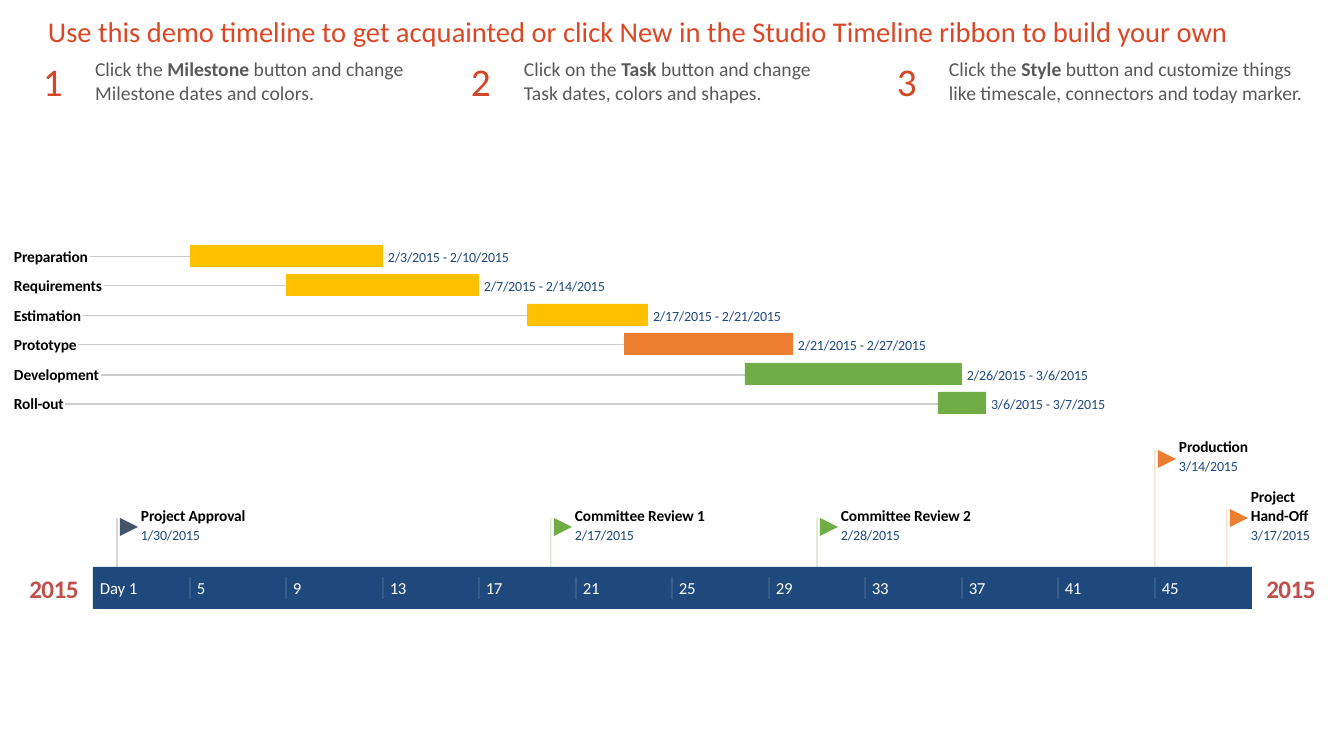
from pptx import Presentation
from pptx.dml.color import RGBColor
from pptx.enum.shapes import MSO_CONNECTOR, MSO_SHAPE
from pptx.enum.text import MSO_ANCHOR, PP_ALIGN
from pptx.oxml.ns import qn
from pptx.util import Pt
from lxml import etree

RECT, FLAG = MSO_SHAPE.RECTANGLE, MSO_SHAPE.FLOWCHART_MERGE
LINE = MSO_CONNECTOR.STRAIGHT
TOP, MID, LOW = MSO_ANCHOR.TOP, MSO_ANCHOR.MIDDLE, MSO_ANCHOR.BOTTOM
LEFT, CENTER = PP_ALIGN.LEFT, PP_ALIGN.CENTER
SCALE = 914400 / 100.8

BLACK, WHITE, GRAY, RULE = "000000", "FFFFFF", "595959", "CCCCCC"
NAVY, INK, SLATE = "1F497D", "1F497E", "44546A"
GOLD, ORANGE, GREEN = "FFC000", "ED7D31", "70AD47"
TITLE, DIGIT, YEAR = "DC4726", "D24726", "C0504D"


def px(n):
    return round(n * SCALE)


def tint(code):
    return RGBColor.from_string(code)


class Board:
    font = "Calibri"

    def __init__(self, slide):
        self.shapes = slide.shapes

    def line(self, x1, y1, x2, y2, color, width=0.75, alpha=100):
        rule = self.shapes.add_connector(LINE, px(x1), px(y1), px(x2), px(y2))
        rule.line.width = Pt(width)
        rule.line.color.rgb = tint(color)
        props = rule._element.spPr
        if alpha < 100:
            fill = props.find(".//" + qn("a:srgbClr"))
            etree.SubElement(fill, qn("a:alpha")).set("val", str(alpha * 1000))
        etree.SubElement(props, qn("a:effectLst"))

    def shape(self, kind, x, y, w, h, color, turn=0):
        item = self.shapes.add_shape(kind, px(x), px(y), px(w), px(h))
        item.shadow.inherit = False
        item.fill.solid()
        item.fill.fore_color.rgb = tint(color)
        item.line.fill.background()
        item.rotation = turn

    def text(self, words, x, y, w, h, size, color, bold=False,
             gap=0, pad=(0, 0), anchor=MID, align=LEFT):
        """Each line is a paragraph; words between asterisks are bold."""
        box = self.shapes.add_textbox(px(x), px(y), px(w), px(h))
        frame = box.text_frame
        frame.word_wrap = True
        frame.vertical_anchor = anchor
        frame.margin_left = frame.margin_right = px(pad[0])
        frame.margin_top = frame.margin_bottom = px(pad[1])
        frame.text = words.replace("*", "")
        for para, row in zip(frame.paragraphs, words.split("\n")):
            para.alignment = align
            parts = row.split("*")
            para.runs[0].text = parts[0]
            for part in parts[1:]:
                para.add_run().text = part
            for i, run in enumerate(para.runs):
                run.font.name = self.font
                run.font.size = Pt(size)
                run.font.bold = bold or i % 2 == 1
                run.font.color.rgb = tint(color)
                if gap:
                    run._r.get_or_add_rPr().set("spc", str(gap))

    def name(self, words, x, y, w, h=19):
        self.text(words, x, y, w, h, 11, BLACK, bold=True, gap=-10)

    def date(self, words, x, y):
        self.text(words, x, y, 136, 17, 10, INK, gap=-10)


deck = Presentation()
deck.slide_width, deck.slide_height = px(1344), px(756)
board = Board(deck.slides.add_slide(deck.slide_layouts[6]))

# Time scale: x after a number of elapsed days
START, DAY, BAND = 93, 24.13, 567


def at(days):
    return round(START + DAY * days)


# Tasks: name, end of name, first day, last day, dates, color
tasks = [
    ("Preparation", 90, 5, 12, "2/3/2015 - 2/10/2015", GOLD),
    ("Requirements", 104, 9, 16, "2/7/2015 - 2/14/2015", GOLD),
    ("Estimation", 82, 19, 23, "2/17/2015 - 2/21/2015", GOLD),
    ("Prototype", 78, 23, 29, "2/21/2015 - 2/27/2015", ORANGE),
    ("Development", 101, 28, 36, "2/26/2015 - 3/6/2015", GREEN),
    ("Roll-out", 65, 36, 37, "3/6/2015 - 3/7/2015", GREEN),
]
for i, (name, edge, first, last, dates, color) in enumerate(tasks):
    y = round(245 + 29.4 * i)
    left, right = at(first - 1), at(last)
    board.line(edge, y + 12, left, y + 12, RULE)
    board.shape(RECT, left, y, right - left, 22, color)
    board.date(dates, right + 5, y + 3)
    board.name(name, 14, y + 2, 100)

# Milestones: name, day, date, flag top, date top, name width and height, color
marks = [
    ("Project Approval", 1, "1/30/2015", 518, 526, 140, 19, SLATE),
    ("Committee Review 1", 19, "2/17/2015", 518, 526, 140, 19, GREEN),
    ("Committee Review 2", 30, "2/28/2015", 518, 526, 140, 19, GREEN),
    ("Production", 44, "3/14/2015", 450, 457, 140, 19, ORANGE),
    ("Project Hand-Off", 47, "3/17/2015", 509, 526, 60, 38, ORANGE),
]
for name, day, date, top, low, wide, high, color in marks:
    x = at(day)
    board.line(x, top, x, BAND, color, alpha=35)
    board.shape(FLAG, x + 3, top, 18, 18, color, turn=270)
    board.name(name, x + 24, low - 1 - high, wide, high)
    board.date(date, x + 24, low)

# Time band with a label every four days
board.shape(RECT, START, BAND, 1159, 42, NAVY)
for day in range(1, 46, 4):
    x = at(day - 1)
    if day > 1:
        board.line(x, 577, x, 599, WHITE, 0.5, 30)
    label = str(day) if day > 1 else "Day 1"
    board.text(label, x + 7, 578, 42, 20, 12, WHITE, gap=-10 if day == 1 else -30)
for x in (28, 1265):
    board.text("2015", x, 573, 52, 31, 18, YEAR, bold=True, gap=-40, align=CENTER)

# Heading and steps
PAD = (10, 5)
board.text("Use this demo timeline to get acquainted or click New in the "
           "Studio Timeline ribbon to build your own",
           38, 8, 1245, 45, 20.4, TITLE, pad=PAD, anchor=LOW)
steps = [
    (33, 85, 370, "Click the *Milestone* button and change Milestone dates and colors."),
    (461, 514, 354, "Click on the *Task* button and change\nTask dates, colors and shapes."),
    (887, 939, 376, "Click the *Style* button and customize things like timescale, "
                    "connectors and today marker."),
]
for i, (left, x, wide, words) in enumerate(steps, 1):
    board.text(words, x, 52, wide, 57, 14, GRAY, pad=PAD, anchor=TOP)
    board.text(str(i), left, 52, 42, 57, 28, DIGIT, pad=PAD, anchor=TOP)

deck.save("out.pptx")
